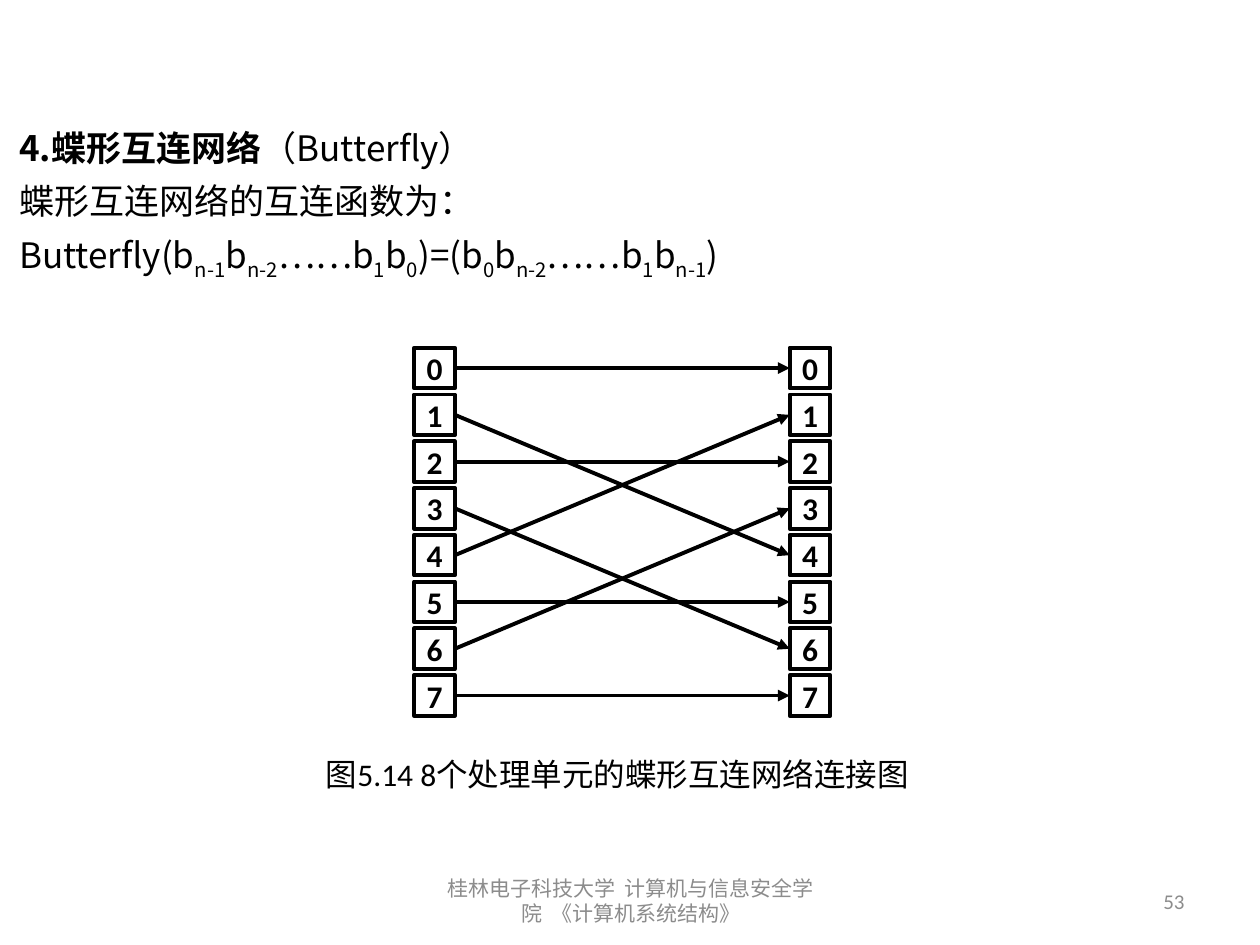
import pptx
import pptx.dml.color
import pptx.enum.shapes
import pptx.enum.text
import pptx.oxml.ns
import pptx.util
from lxml import etree

Cm = pptx.util.Cm
BLACK = pptx.dml.color.RGBColor(0x00, 0x00, 0x00)
WHITE = pptx.dml.color.RGBColor(0xFF, 0xFF, 0xFF)
GREY = pptx.dml.color.RGBColor(0x8C, 0x8C, 0x8C)
ALIGN = pptx.enum.text.PP_ALIGN
ANCHOR = pptx.enum.text.MSO_ANCHOR
LATIN_FONT = "Calibri"
CHINESE_FONT = "Noto Sans CJK SC"


def add_child(parent, tag, **attributes):
    return etree.SubElement(parent, pptx.oxml.ns.qn(tag), **attributes)


def write_text(paragraph, text, size=18, color=BLACK, font=LATIN_FONT,
               bold=False, subscript=False):
    run = paragraph.add_run()
    run.text = text
    run.font.size = pptx.util.Pt(size)
    run.font.color.rgb = color
    run.font.name = font
    run.font.bold = bold
    properties = run._r.get_or_add_rPr()
    add_child(properties, "a:ea", typeface=CHINESE_FONT)
    if subscript:
        properties.set("baseline", "-25000")


class SlideBuilder:
    """Holds the current slide and the style of its elements."""

    line_width = pptx.util.Pt(2.25)

    def __init__(self, slide):
        self.slide = slide

    def body(self, left, top, width, height, paragraphs):
        """Fill the body placeholder; each paragraph is a list of (text, format)."""
        placeholder = self.slide.placeholders[1]
        placeholder.left, placeholder.top = Cm(left), Cm(top)
        placeholder.width, placeholder.height = Cm(width), Cm(height)
        frame = placeholder.text_frame
        frame.vertical_anchor = ANCHOR.MIDDLE
        frame.auto_size = pptx.enum.text.MSO_AUTO_SIZE.NONE
        for index, parts in enumerate(paragraphs):
            paragraph = frame.add_paragraph() if index else frame.paragraphs[0]
            paragraph.line_spacing = 1.25
            paragraph.space_before = pptx.util.Pt(0)
            properties = paragraph._p.get_or_add_pPr()
            properties.set("marL", "0")
            properties.set("indent", "0")
            add_child(properties, "a:buNone")
            for text, style in parts:
                write_text(paragraph, text, size=20, font=CHINESE_FONT, **style)

    def text(self, left, top, width, height, text, align=ALIGN.LEFT,
             anchor=ANCHOR.MIDDLE, **style):
        box = self.slide.shapes.add_textbox(Cm(left), Cm(top), Cm(width), Cm(height))
        frame = box.text_frame
        frame.word_wrap = True
        frame.vertical_anchor = anchor
        frame.paragraphs[0].alignment = align
        write_text(frame.paragraphs[0], text, **style)

    def node(self, left, top, side, label):
        shape = self.slide.shapes.add_shape(
            pptx.enum.shapes.MSO_SHAPE.RECTANGLE, Cm(left), Cm(top), Cm(side), Cm(side))
        shape.shadow.inherit = False
        shape.fill.solid()
        shape.fill.fore_color.rgb = WHITE
        shape.line.color.rgb = BLACK
        shape.line.width = self.line_width
        frame = shape.text_frame
        frame.margin_left = frame.margin_right = 0
        frame.margin_top = frame.margin_bottom = 0
        frame.vertical_anchor = ANCHOR.MIDDLE
        frame.paragraphs[0].alignment = ALIGN.CENTER
        write_text(frame.paragraphs[0], label, bold=True)
        return shape

    def arrow(self, source, target):
        """Arrow from the right side of source to the left side of target."""
        connector = self.slide.shapes.add_connector(
            pptx.enum.shapes.MSO_CONNECTOR.STRAIGHT, 0, 0, 0, 0)
        connector.begin_connect(source, 3)
        connector.end_connect(target, 1)
        connector.line.color.rgb = BLACK
        connector.line.width = self.line_width
        add_child(connector.line._get_or_add_ln(), "a:tailEnd", type="triangle")
        add_child(connector._element.spPr, "a:effectLst")


def butterfly(number):
    """Swap the highest and lowest of three bits."""
    return (number & 1) << 2 | number & 2 | number >> 2


def main():
    presentation = pptx.Presentation()
    presentation.slide_width, presentation.slide_height = Cm(25.4), Cm(19.05)
    slide = presentation.slides.add_slide(presentation.slide_layouts[1])
    title = slide.shapes.title._element
    title.getparent().remove(title)
    builder = SlideBuilder(slide)

    # Heading and function; formula parts alternate between normal and subscript
    formula = "Butterfly(b|n-1|b|n-2|……b|1|b|0|)=(b|0|b|n-2|……b|1|b|n-1|)"
    builder.body(0.13, 2.29, 23.37, 3.43, [
        [("4.蝶形互连网络", {"bold": True}), ("（Butterfly）", {})],
        [("蝶形互连网络的互连函数为：", {})],
        [(part, {"subscript": index % 2 == 1})
         for index, part in enumerate(formula.split("|"))],
    ])

    # Two columns of processing units
    top, pitch, side = 7.01, 0.943, 0.82
    inputs, outputs = [
        [builder.node(left, top + row * pitch, side, str(row)) for row in range(8)]
        for left in (8.35, 15.92)]

    # Butterfly links
    for number, source in enumerate(inputs):
        builder.arrow(source, outputs[butterfly(number)])

    # Caption, footer and slide number
    builder.text(6.32, 15.09, 12.45, 1.02, "图5.14 8个处理单元的蝶形互连网络连接图",
                 anchor=ANCHOR.TOP)
    builder.text(8.69, 17.65, 8.05, 1.02,
                 "桂林电子科技大学  计算机与信息安全学院  《计算机系统结构》",
                 align=ALIGN.CENTER, size=12, color=GREY)
    builder.text(18.21, 17.65, 5.92, 1.02, "53", align=ALIGN.RIGHT, size=12, color=GREY)

    presentation.save("out.pptx")


if __name__ == "__main__":
    main()
